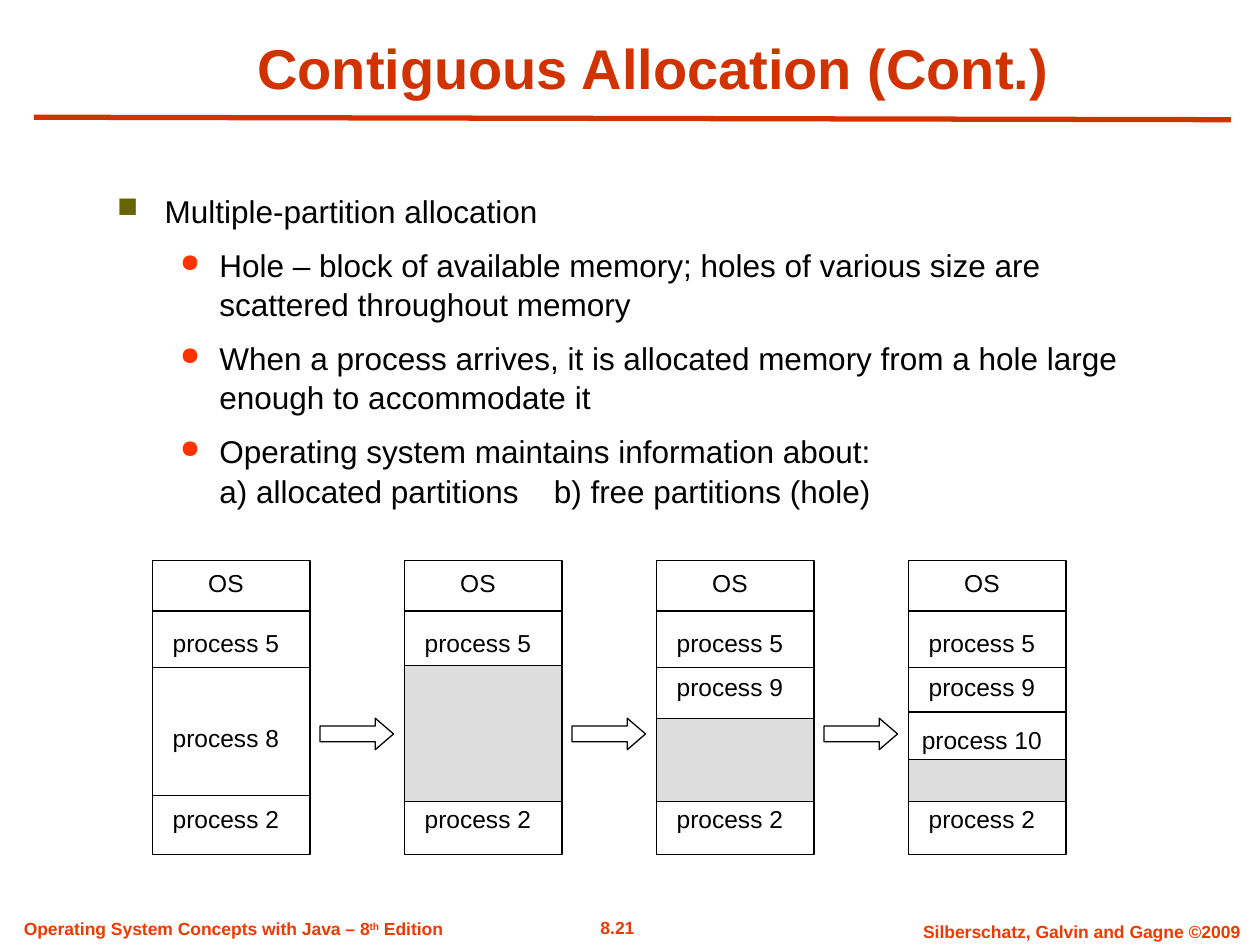
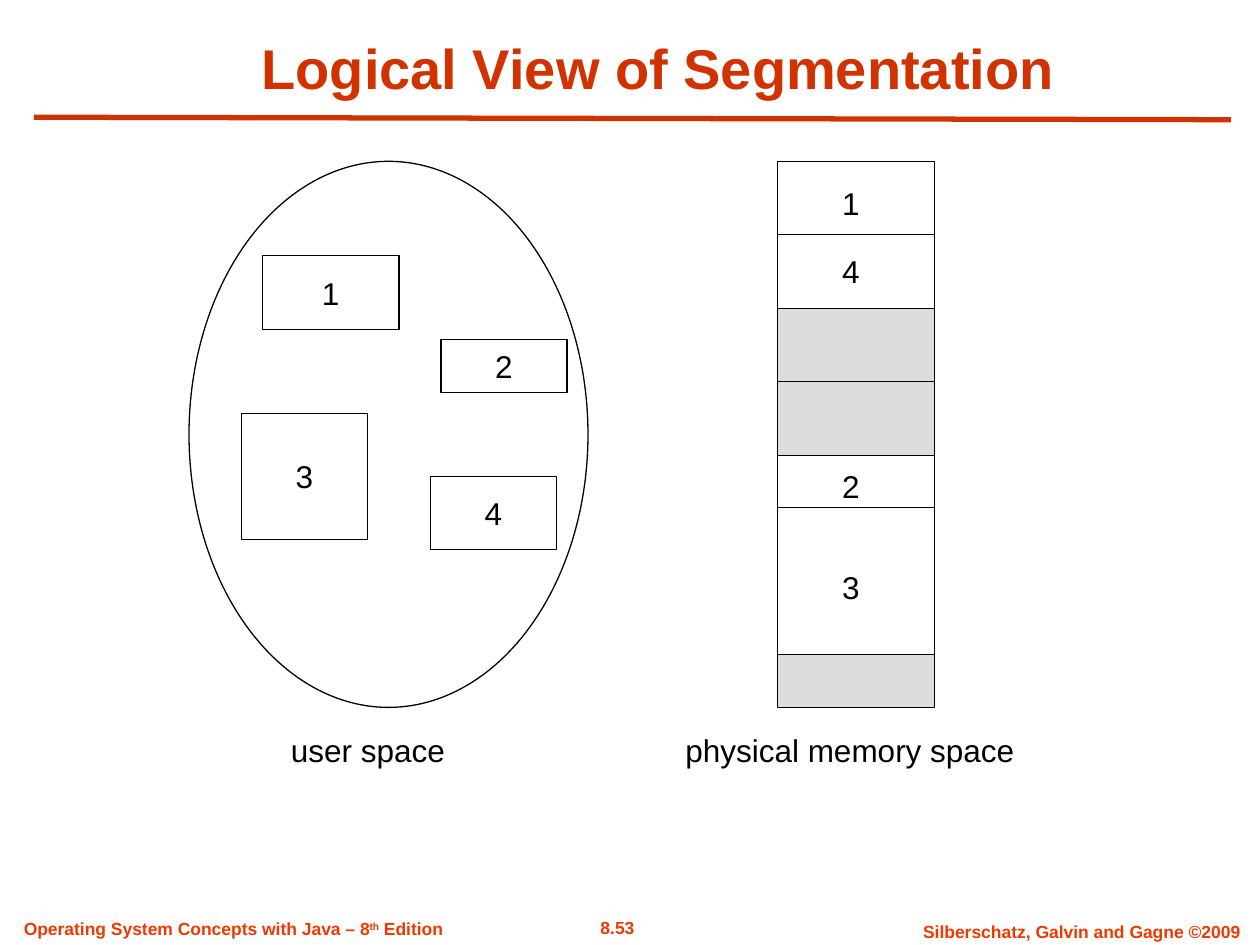
"""Build two operating-system lecture slides on memory allocation."""
from lxml import etree
from pptx import Presentation
from pptx.dml.color import RGBColor
from pptx.enum.shapes import MSO_CONNECTOR, MSO_SHAPE
from pptx.enum.text import MSO_ANCHOR, MSO_AUTO_SIZE, PP_ALIGN
from pptx.oxml.ns import qn
from pptx.util import Pt

RECTANGLE, OVAL, ARROW = MSO_SHAPE.RECTANGLE, MSO_SHAPE.OVAL, MSO_SHAPE.RIGHT_ARROW
STRAIGHT = MSO_CONNECTOR.STRAIGHT
TOP, MIDDLE, BOTTOM = MSO_ANCHOR.TOP, MSO_ANCHOR.MIDDLE, MSO_ANCHOR.BOTTOM
LEFT, CENTER = PP_ALIGN.LEFT, PP_ALIGN.CENTER
NO_AUTOFIT = MSO_AUTO_SIZE.NONE

BLACK = RGBColor(0x00, 0x00, 0x00)
WHITE = RGBColor(0xFF, 0xFF, 0xFF)
HOLE_GRAY = RGBColor(0xDD, 0xDD, 0xDD)
TITLE_RED = RGBColor(0xD0, 0x32, 0x00)
FOOTER_RED = RGBColor(0xEE, 0x39, 0x00)
OLIVE = RGBColor(0x66, 0x66, 0x00)
BULLET_RED = RGBColor(0xFF, 0x33, 0x00)

TITLE_FONT = {"name": "Arial", "size": Pt(32), "bold": True}
FOOTER_FONT = {"name": "Arial", "size": Pt(10), "bold": True}
BODY_FONT = {"name": "Arial", "size": Pt(18), "bold": False}
LABEL_FONT = {"name": "Arial", "size": Pt(14), "bold": False}

BULLETS = [
    {"char": "■", "color": OLIVE, "percent": 90, "margin": 27.2, "hang": 27.2},
    {"char": "●", "color": BULLET_RED, "percent": 80, "margin": 58.5, "hang": 22.5},
]
POINTS = [
    (0, [("Multiple-partition allocation", {})]),
    (1, [("Hole – block of available memory; holes of various size are "
          "scattered throughout memory", {})]),
    (1, [("When a process arrives, it is allocated memory from a hole large "
          "enough to accommodate it", {})]),
    (1, [("Operating system maintains information about:", {}), ("\n", {}),
         ("a) allocated partitions", {}), (" ", {"spc": "1500"}),
         ("b) free partitions (hole)", {})]),
]

COLUMN_WIDTH, LABEL_WIDTH = 90, 84
FIRST_COLUMN, COLUMN_STEP = 87.1, 144
FRAME = (320.4, 167.8, WHITE)
SHARED_LABELS = [("OS", 320.4), ("process 5", 355), ("process 2", 455.8)]
PROCESS_9 = ("process 9", 380.2)
STAGES = [
    {"holes": [], "dividers": [381.6, 454.4], "labels": [("process 8", 409)]},
    {"holes": [(380.2, 77.8, HOLE_GRAY)], "dividers": [], "labels": []},
    {"holes": [(410.4, 47.6, HOLE_GRAY)], "dividers": [381.6], "labels": [PROCESS_9]},
    {"holes": [(434.2, 23.8, HOLE_GRAY)], "dividers": [381.6, 406.8],
     "labels": [PROCESS_9, ("process 10", 410.4)]},
]

SEGMENTS = [
    ("1", 150, 146.2, 78, 42),
    ("3", 138, 236.2, 72, 72),
    ("2", 252, 194.2, 72, 30),
    ("4", 246, 272.2, 72, 42),
]
PHYSICAL_MEMORY = {
    "blocks": [(92.2, 84, WHITE), (176.2, 84, HOLE_GRAY),
               (260.2, 114, WHITE), (374.2, 30, HOLE_GRAY)],
    "dividers": [134.2, 218.2, 290.2],
    "labels": [("1", 101.5), ("4", 140.4), ("2", 263.5), ("3", 321.1)],
}


def write_spans(para, spans, font, color, align):
    """Fill a paragraph with (text, XML attributes) spans."""
    para.alignment = align
    for text, attributes in spans:
        if text == "\n":
            para.add_line_break()
            continue
        span = para.add_run()
        span.text = text
        for name, value in font.items():
            setattr(span.font, name, value)
        span.font.color.rgb = color
        properties = span._r.get_or_add_rPr()
        for name, value in attributes.items():
            properties.set(name, value)


def set_frame(frame, anchor, wrap):
    """Apply the common margins, anchor and wrapping to a text frame."""
    values = {"margin_left": Pt(7.2), "margin_right": Pt(7.2),
              "margin_top": Pt(3.6), "margin_bottom": Pt(3.6),
              "auto_size": NO_AUTOFIT, "vertical_anchor": anchor, "word_wrap": wrap}
    for name, value in values.items():
        setattr(frame, name, value)


def add_text(page, spans, place, font, color=BLACK, align=CENTER, anchor=MIDDLE):
    """Add a one-line text box."""
    box = page.shapes.add_textbox(*map(Pt, place))
    set_frame(box.text_frame, anchor, False)
    write_spans(box.text_frame.paragraphs[0], spans, font, color, align)


def add_outlined(page, kind, place, fill=WHITE):
    """Add a preset shape with a thin black outline."""
    shape = page.shapes.add_shape(kind, *map(Pt, place))
    shape.shadow.inherit = False
    shape.fill.solid()
    shape.fill.fore_color.rgb = fill
    shape.line.color.rgb = BLACK
    shape.line.width = Pt(0.75)
    return shape


def add_line(page, ends, color=BLACK, width=0.75):
    """Add a straight line without a shadow."""
    line = page.shapes.add_connector(STRAIGHT, *map(Pt, ends))
    line.line.color.rgb = color
    line.line.width = Pt(width)
    etree.SubElement(line._element.spPr, qn("a:effectLst"))


def add_bullet(para, style):
    """Give a paragraph its hanging indent and coloured bullet."""
    properties = para._p.get_or_add_pPr()
    properties.set("marL", str(Pt(style["margin"])))
    properties.set("indent", str(-Pt(style["hang"])))
    color = etree.SubElement(properties, qn("a:buClr"))
    etree.SubElement(color, qn("a:srgbClr"), val=str(style["color"]))
    etree.SubElement(properties, qn("a:buSzPct"), val=str(style["percent"] * 1000))
    etree.SubElement(properties, qn("a:buChar"), char=style["char"])


def add_points(page, points, place):
    """Add the bulleted list."""
    frame = page.shapes.add_textbox(*map(Pt, place)).text_frame
    set_frame(frame, TOP, True)
    for index, (level, spans) in enumerate(points):
        para = frame.add_paragraph() if index else frame.paragraphs[0]
        para.level = level
        para.line_spacing = 1.05
        para.space_before = Pt(7.9 if index else 0)
        add_bullet(para, BULLETS[level])
        write_spans(para, spans, BODY_FONT, BLACK, LEFT)


def add_memory(page, left, blocks, dividers, labels, font):
    """Draw a memory column from its blocks, divider lines and labels."""
    for top, height, fill in blocks:
        add_outlined(page, RECTANGLE, (left, top, COLUMN_WIDTH, height), fill)
    for level in dividers:
        add_line(page, (left, level, left + COLUMN_WIDTH, level))
    height = font["size"].pt + 10.6
    for text, top in labels:
        add_text(page, [(text, {})], (left, top, LABEL_WIDTH, height), font)


def add_page(deck, title, title_left, number):
    """Add a slide with its title, rule and footers."""
    page = deck.slides.add_slide(deck.slide_layouts[5])
    heading = page.shapes.title
    place = {"left": title_left, "top": 15.8, "width": 684 - title_left, "height": 45.4}
    for name, value in place.items():
        setattr(heading, name, Pt(value))
    set_frame(heading.text_frame, BOTTOM, True)
    write_spans(heading.text_frame.paragraphs[0], [(title, {})],
                TITLE_FONT, TITLE_RED, CENTER)
    add_line(page, (19.4, 67, 703.4, 68.4), TITLE_RED, 3)
    book = [("Operating System Concepts with Java – 8", {}),
            ("th", {"baseline": "30000"}), (" Edition", {})]
    footers = [
        ([(number, {})], (317.5, 520.6, 70.6, 19.4), CENTER),
        ([("Silberschatz, Galvin and Gagne ©2009", {})],
         (511.2, 522.7, 213.8, 19.4), CENTER),
        (book, (6.5, 521.3, 253.4, 19.4), LEFT),
    ]
    for spans, place, align in footers:
        add_text(page, spans, place, FOOTER_FONT, FOOTER_RED, align, TOP)
    return page


def add_allocation_page(deck):
    """Add the slide that follows memory through four stages."""
    page = add_page(deck, "Contiguous Allocation (Cont.)", 62.6, "8.21")
    add_points(page, POINTS, (59.8, 105.1, 593.3, 205.2))
    for index, stage in enumerate(STAGES):
        left = FIRST_COLUMN + index * COLUMN_STEP
        add_memory(page, left, [FRAME] + stage["holes"], [349.2] + stage["dividers"],
                   SHARED_LABELS + stage["labels"], LABEL_FONT)
        if index:
            arrow = add_outlined(page, ARROW, (left - 48.2, 410.4, 42, 18))
            arrow.adjustments[0] = 0.5
            arrow.adjustments[1] = 0.58


def add_segmentation_page(deck):
    """Add the slide that maps user space to physical memory."""
    page = add_page(deck, "Logical View of Segmentation", 68.4, "8.53")
    add_outlined(page, OVAL, (108, 92.2, 228, 312))
    for text, *place in SEGMENTS:
        frame = add_outlined(page, RECTANGLE, place).text_frame
        set_frame(frame, MIDDLE, False)
        write_spans(frame.paragraphs[0], [(text, {})], BODY_FONT, BLACK, CENTER)
    add_memory(page, 444.2, font=BODY_FONT, **PHYSICAL_MEMORY)
    add_text(page, [("user space", {})], (159.1, 414, 102.4, 28.8), BODY_FONT)
    add_text(page, [("physical memory space", {})], (384.5, 414, 202.3, 28.8), BODY_FONT)


def main():
    """Build and save the deck."""
    deck = Presentation()
    deck.slide_width, deck.slide_height = Pt(720), Pt(540)
    add_allocation_page(deck)
    add_segmentation_page(deck)
    deck.save("out.pptx")


if __name__ == "__main__":
    main()
